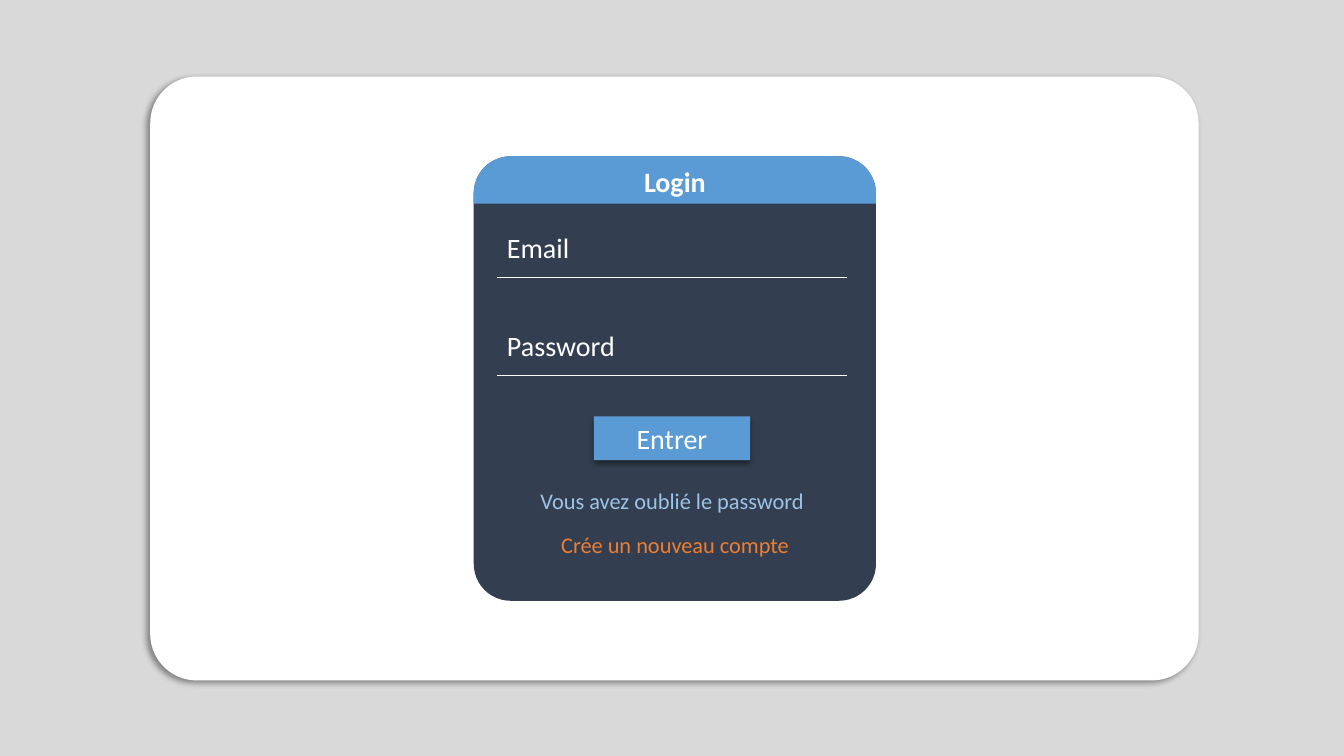
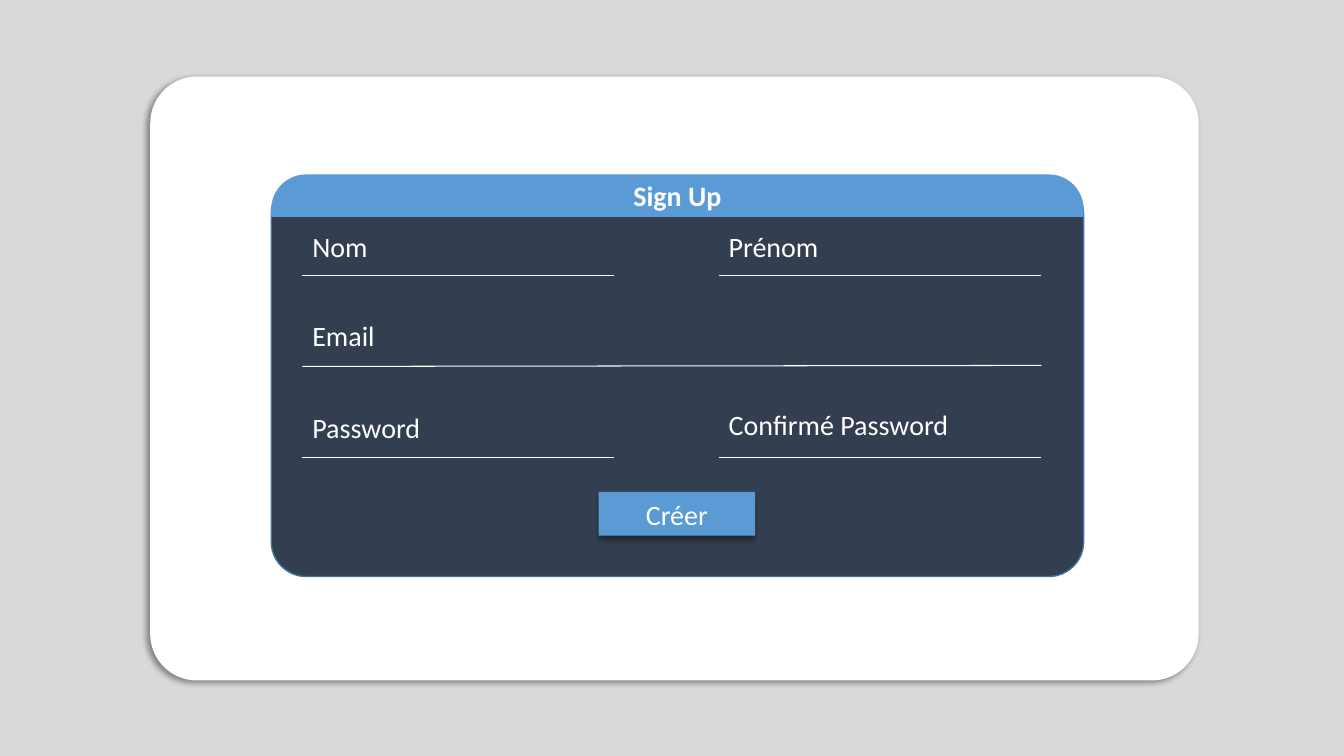
from math import cos, pi, sin

from lxml.etree import SubElement
from pptx import Presentation
from pptx.dml.color import RGBColor
from pptx.enum.shapes import MSO_CONNECTOR as Connector, MSO_SHAPE as Preset
from pptx.enum.text import MSO_ANCHOR as Anchor, MSO_AUTO_SIZE as AutoSize, PP_ALIGN as Align
from pptx.oxml.ns import qn
from pptx.util import Inches, Pt

WIDTH, HEIGHT = Inches(13.33), Inches(7.5)
BACKDROP, WHITE, NAVY, BLUE = "D9D9D9", "FFFFFF", "333F50", "5B9BD5"
PANEL_EDGE, PALE_BLUE, ORANGE = "43739E", "9DC3E6", "ED7D31"
FONT = "Calibri"
LABEL_HEIGHT, LINK_HEIGHT = 5.87, 4.93
BUTTON_SIZE = (11.63, 5.8)
CARD = (11.18, 10.13, 78, 79.87)


def across(percent):
    """Turn a percentage of the slide's width into a length."""
    return round(WIDTH * percent / 100)


def down(percent):
    """Turn a percentage of the slide's height into a length."""
    return round(HEIGHT * percent / 100)


def place(frame):
    """Turn a left, top, width, height frame in percent into lengths."""
    left, top, width, height = frame
    return across(left), down(top), across(width), down(height)


def color(value):
    """Read a hex string as a colour."""
    return RGBColor.from_string(value)


def write(target, text, size=20, tint=WHITE, bold=False, align=Align.CENTER, anchor=Anchor.MIDDLE):
    """Put formatted text into a shape."""
    frame = target.text_frame
    frame.word_wrap = True
    frame.auto_size = AutoSize.NONE
    frame.vertical_anchor = anchor
    paragraph = frame.paragraphs[0]
    paragraph.alignment = align
    run = paragraph.add_run()
    run.text = text
    run.font.name, run.font.size, run.font.bold = FONT, Pt(size), bold
    run.font.color.rgb = color(tint)


def paint(target, fill, edge=None, shadow_angle=None):
    """Set a shape's fill, outline and soft shadow."""
    target.fill.solid()
    target.fill.fore_color.rgb = color(fill)
    if edge:
        target.line.color.rgb = color(edge)
        target.line.width = Pt(1)
    else:
        target.line.fill.background()
    target.shadow.inherit = False
    if shadow_angle is not None:
        effects = target.element.spPr.find(qn("a:effectLst"))
        shadow = SubElement(effects, qn("a:outerShdw"), blurRad=str(Pt(4)), dist=str(Pt(3)),
                            dir=str(shadow_angle * 60000), rotWithShape="0")
        black = SubElement(shadow, qn("a:srgbClr"), val="000000")
        SubElement(black, qn("a:alpha"), val="40000")


def add_block(slide, frame, fill, radius=None, **look):
    """Draw a rectangle, rounded when a radius share is given."""
    preset = Preset.RECTANGLE if radius is None else Preset.ROUNDED_RECTANGLE
    block = slide.shapes.add_shape(preset, *place(frame))
    if radius is not None:
        block.adjustments[0] = radius
    paint(block, fill, **look)
    return block


def add_label(slide, frame, text, **style):
    """Add a text box."""
    write(slide.shapes.add_textbox(*place(frame)), text, anchor=Anchor.TOP, **style)


def add_rule(slide, left, right, top, tilt=0):
    """Draw the thin white line under a field."""
    rule = slide.shapes.add_connector(Connector.STRAIGHT, across(left), down(top),
                                      across(right), down(top - tilt))
    rule.line.color.rgb = color(WHITE)
    rule.line.width = Pt(0.75)
    SubElement(rule.element.spPr, qn("a:effectLst"))


def add_field(slide, text, left, width, top, rise=6.87, tilt=0):
    """Add a field's label and the line below it."""
    add_rule(slide, left, left + width, top, tilt)
    add_label(slide, (left, top - rise, width, LABEL_HEIGHT), text, align=Align.LEFT)


def add_button(slide, text, left, top):
    """Add a raised button."""
    write(add_block(slide, (left, top, *BUTTON_SIZE), BLUE, shadow_angle=90), text)


def add_header(slide, frame, radius):
    """Draw a band whose top corners are rounded by a radius length."""
    left, top, width, height = place(frame)
    right, bottom = left + width, top + height
    steps = 16
    arcs = [(center + radius * cos(angle), top + radius + radius * sin(angle))
            for center, start in ((left + radius, pi), (right - radius, 1.5 * pi))
            for angle in (start + pi / 2 * step / steps for step in range(steps + 1))]
    outline = slide.shapes.build_freeform(left, bottom)
    outline.add_line_segments(arcs + [(right, bottom)])
    paint(outline.convert_to_shape(), BLUE)


def add_title(slide, text, header):
    """Move the title placeholder onto the header band, in front."""
    left, top, width, height = header
    title_height = min(height, LABEL_HEIGHT)
    title = slide.shapes.title
    title.left, title.top, title.width, title.height = place(
        (left, top + height - title_height, width, title_height))
    write(title, text, bold=True)
    title.element.getparent().append(title.element)


def add_form(deck, title, panel, header_top, header_height, radius, edge=None):
    """Add a slide with its white card, form panel and titled header."""
    slide = deck.slides.add_slide(deck.slide_layouts[5])
    left, _, width, _ = panel
    header = (left, header_top, width, header_height)
    add_block(slide, CARD, WHITE, radius=0.077, shadow_angle=135)
    body = add_block(slide, panel, NAVY, radius=radius, edge=edge)
    add_header(slide, header, radius * min(body.width, body.height))
    add_title(slide, title, header)
    return slide


def add_login(deck):
    """Build the login form."""
    slide = add_form(deck, "Login", (35.25, 20.67, 29.93, 58.8), 20.67, 6.27, 0.092)
    left, width = 36.98, 26.06
    for text, top in (("Email", 36.67), ("Password", 49.73)):
        add_field(slide, text, left, width, top)
    add_button(slide, "Entrer", 44.18, 55.07)
    for text, link_left, top, tint in (("Vous avez oublié le password", left, 63.73, PALE_BLUE),
                                       ("Crée un nouveau compte", 37.2, 69.6, ORANGE)):
        add_label(slide, (link_left, top, width, LINK_HEIGHT), text, size=16, tint=tint)


def add_sign_up(deck):
    """Build the sign-up form."""
    slide = add_form(deck, "Sign Up", (20.18, 23.73, 60.45, 52.53), 23.07, 5.6, 0.088,
                     edge=PANEL_EDGE)
    first, second, right = 22.5, 53.48, 77.48
    narrow, wide = 23.18, right - second
    names, email, passwords = (36.4 + 12.07 * row for row in range(3))
    add_field(slide, "Nom", first, narrow, names, rise=6.67)
    add_field(slide, "Prénom", second, wide, names, rise=6.67)
    add_field(slide, "Email", first, right - first, email, rise=7, tilt=0.13)
    add_field(slide, "Password", first, narrow, passwords)
    add_field(slide, "Confirmé Password", second, wide, passwords, rise=7.33)
    add_button(slide, "Créer", 44.55, 65.07)


def main():
    """Build and save the deck."""
    deck = Presentation()
    deck.slide_width, deck.slide_height = WIDTH, HEIGHT
    backdrop = deck.slide_master.background.fill
    backdrop.solid()
    backdrop.fore_color.rgb = color(BACKDROP)
    add_login(deck)
    add_sign_up(deck)
    deck.save("out.pptx")


if __name__ == "__main__":
    main()
